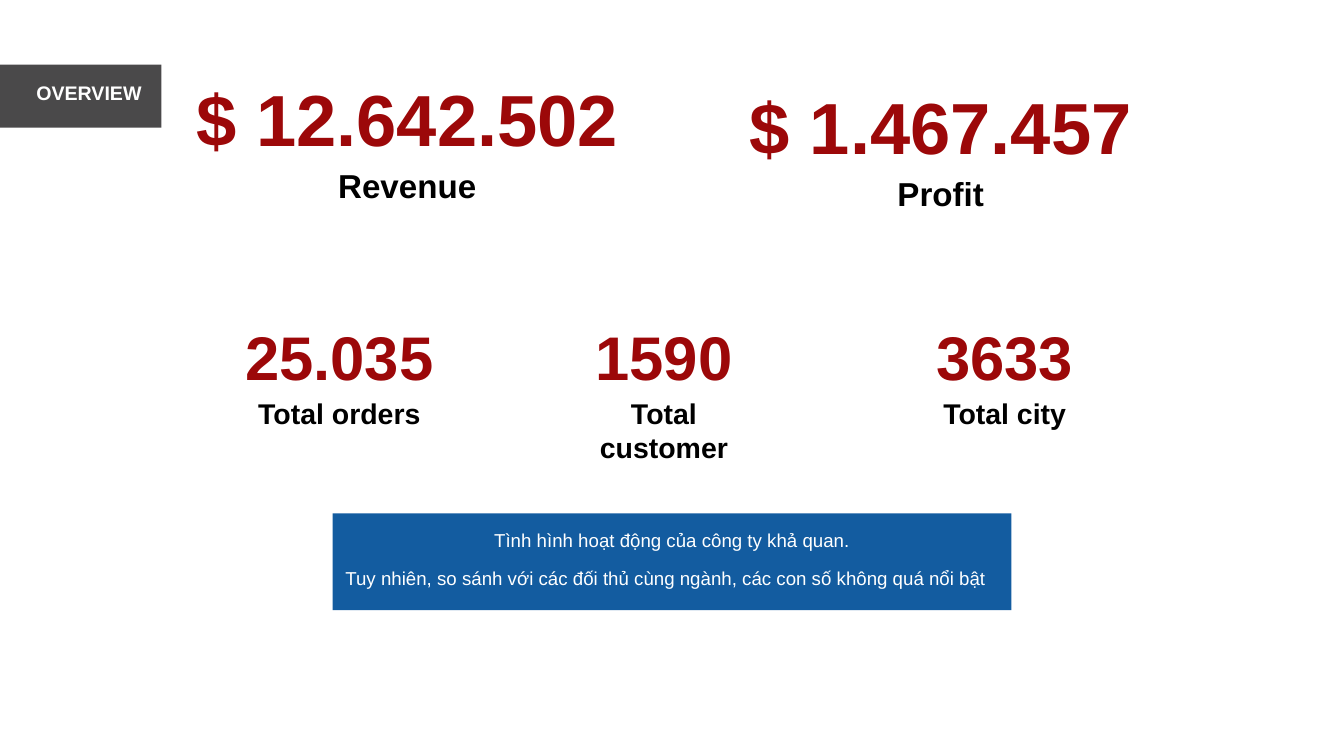
from pptx import Presentation
from pptx.dml.color import RGBColor
from pptx.enum.shapes import MSO_SHAPE
from pptx.enum.text import MSO_ANCHOR, MSO_AUTO_SIZE, PP_ALIGN
from pptx.util import Inches, Pt

GREY = RGBColor(0x4A, 0x49, 0x4A)
RED = RGBColor(0x9C, 0x08, 0x09)
BLUE = RGBColor(0x13, 0x5C, 0xA0)
BLACK = RGBColor(0, 0, 0)
WHITE = RGBColor(0xFF, 0xFF, 0xFF)
FONT = "Arial"

# Content: value, label, left, top, width
TITLE = "OVERVIEW"
MAIN_FIGURES = [
    ("$ 12.642.502", "Revenue", 2.85, 0.96, 6.42),
    ("$ 1.467.457", "Profit", 11.13, 1.08, 5.74),
]
COUNTS = [
    ("25.035", "Total orders", 3.61, 4.63, 2.88),
    ("1590", "Total customer", 8.41, 4.63, 2.94),
    ("3633", "Total city", 13.91, 4.63, 2.08),
]
# Note lines: text, alignment, left indent, space before
NOTE = [
    ("Tình hình hoạt động của công ty khả quan.", PP_ALIGN.CENTER, 0, 0),
    ("Tuy nhiên, so sánh với các đối thủ cùng ngành, các con số không quá nổi bật",
     PP_ALIGN.LEFT, 0.19, 17.2),
]

# Sizes per group: height, top inset, value size, label size, label space before
MAIN_STYLE = (2.11, 0.14, 77.5, 35.5, 4.7)
COUNT_STYLE = (1.79, 0.12, 66, 30.5, 3.5)


def prepare_frame(shape, top_inset):
    frame = shape.text_frame
    frame.word_wrap = True
    frame.auto_size = MSO_AUTO_SIZE.NONE
    frame.vertical_anchor = MSO_ANCHOR.TOP
    frame.margin_left = frame.margin_right = frame.margin_bottom = 0
    frame.margin_top = Inches(top_inset)
    return frame


def write(paragraph, text, size, color, bold, align, before=0, indent=0):
    paragraph.alignment = align
    paragraph.space_before = Pt(before)
    if indent:
        properties = paragraph._p.get_or_add_pPr()
        properties.set("marL", str(Inches(indent)))
        properties.set("indent", "0")
    run = paragraph.add_run()
    run.text = text
    run.font.name = FONT
    run.font.size = Pt(size)
    run.font.bold = bold
    run.font.color.rgb = color


def add_figure(slide, figure, style):
    value, label, left, top, width = figure
    height, inset, value_size, label_size, before = style
    box = slide.shapes.add_textbox(Inches(left), Inches(top), Inches(width), Inches(height))
    frame = prepare_frame(box, inset)
    write(frame.paragraphs[0], value, value_size, RED, True, PP_ALIGN.CENTER)
    write(frame.add_paragraph(), label, label_size, BLACK, True, PP_ALIGN.CENTER, before)


def main():
    presentation = Presentation()
    presentation.slide_width = Inches(20)
    presentation.slide_height = Inches(11.25)
    slide = presentation.slides.add_slide(presentation.slide_layouts[5])

    # Title tab
    title = slide.shapes.title
    title.left, title.top = Inches(0), Inches(0.96)
    title.width, title.height = Inches(2.4), Inches(0.94)
    title.fill.solid()
    title.fill.fore_color.rgb = GREY
    frame = prepare_frame(title, 0.25)
    write(frame.paragraphs[0], TITLE, 21, WHITE, True, PP_ALIGN.LEFT, indent=0.54)

    # Key figures
    for figures, style in ((MAIN_FIGURES, MAIN_STYLE), (COUNTS, COUNT_STYLE)):
        for figure in figures:
            add_figure(slide, figure, style)

    # Note panel
    panel = slide.shapes.add_shape(
        MSO_SHAPE.RECTANGLE, Inches(4.95), Inches(7.64), Inches(10.1), Inches(1.44))
    panel.shadow.inherit = False
    panel.fill.solid()
    panel.fill.fore_color.rgb = BLUE
    panel.line.fill.background()
    frame = prepare_frame(panel, 0.23)
    for index, (text, align, indent, before) in enumerate(NOTE):
        paragraph = frame.add_paragraph() if index else frame.paragraphs[0]
        write(paragraph, text, 20, WHITE, False, align, before, indent)

    presentation.save("out.pptx")


if __name__ == "__main__":
    main()
